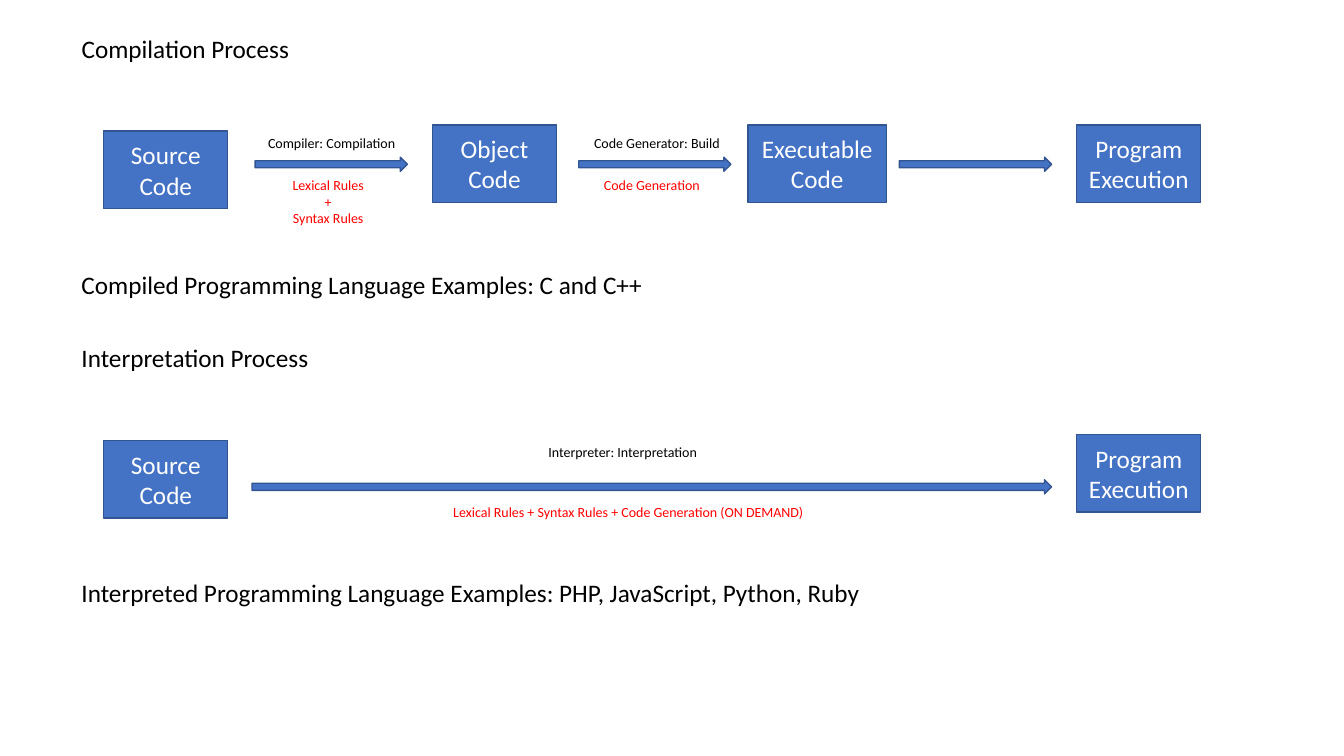
import pptx
import pptx.dml.color
import pptx.enum.shapes
import pptx.enum.text
import pptx.util

Inches = pptx.util.Inches
Align = pptx.enum.text.PP_ALIGN
Anchor = pptx.enum.text.MSO_ANCHOR
Shape = pptx.enum.shapes.MSO_SHAPE

COLORS = {
    "fill": "4472C4",
    "outline": "325491",
    "light": "FFFFFF",
    "dark": "000000",
    "rules": "FF0000",
}


class ProcessSlide:
    font = "Calibri"
    heading_size = 18
    label_size = 10
    box_height = 0.77
    arrow_height = 0.14

    def __init__(self, presentation):
        self.slide = presentation.slides.add_slide(presentation.slide_layouts[5])

    def color(self, name):
        return pptx.dml.color.RGBColor.from_string(COLORS[name])

    def set_text(self, shape, text, size, color, alignment, anchor):
        text_frame = shape.text_frame
        text_frame.text = text
        text_frame.word_wrap = True
        text_frame.auto_size = pptx.enum.text.MSO_AUTO_SIZE.NONE
        text_frame.vertical_anchor = anchor
        for paragraph in text_frame.paragraphs:
            paragraph.alignment = alignment
            for run in paragraph.runs:
                run.font.name = self.font
                run.font.size = pptx.util.Pt(size)
                run.font.color.rgb = self.color(color)

    def solid(self, kind, left, top, width, height):
        shape = self.slide.shapes.add_shape(
            kind, Inches(left), Inches(top), Inches(width), Inches(height))
        shape.shadow.inherit = False
        shape.fill.solid()
        shape.fill.fore_color.rgb = self.color("fill")
        shape.line.color.rgb = self.color("outline")
        shape.line.width = pptx.util.Pt(1)
        return shape

    def box(self, text, left, top, width=1.23):
        shape = self.solid(Shape.RECTANGLE, left, top, width, self.box_height)
        self.set_text(shape, text, self.heading_size, "light", Align.CENTER, Anchor.MIDDLE)

    def arrow(self, left, top, width=1.51):
        self.solid(Shape.RIGHT_ARROW, left, top, width, self.arrow_height)

    def title(self, text, left, top, width, height):
        shape = self.slide.shapes.title
        shape.left, shape.top = Inches(left), Inches(top)
        shape.width, shape.height = Inches(width), Inches(height)
        self.set_text(shape, text, self.heading_size, "dark", Align.LEFT, Anchor.TOP)

    def text(self, text, left, top, width, height, size, color, alignment):
        shape = self.slide.shapes.add_textbox(
            Inches(left), Inches(top), Inches(width), Inches(height))
        self.set_text(shape, text, size, color, alignment, Anchor.TOP)

    def heading(self, text, top, width=6.51):
        self.text(text, 0.71, top, width, 0.4, self.heading_size, "dark", Align.LEFT)

    def label(self, text, left, top, width=1.51, height=0.27,
              color="dark", alignment=Align.CENTER):
        self.text(text, left, top, width, height, self.label_size, color, alignment)


def main():
    presentation = pptx.Presentation()
    presentation.slide_width = Inches(13.33)
    presentation.slide_height = Inches(7.5)
    page = ProcessSlide(presentation)

    page.title("Compilation Process", 0.71, 0.28, 6.51, 0.4)
    page.heading("Compiled Programming Language Examples: C and C++", 2.62)
    page.heading("Interpretation Process", 3.35)
    page.heading(
        "Interpreted Programming Language Examples: PHP, JavaScript, Python, Ruby",
        5.68, 8.49)

    for row_top in (1.24, 4.31):
        page.box("Source Code", 1.03, row_top + 0.06)
        page.box("Program Execution", 10.68, row_top)
    page.box("Object Code", 4.29, 1.24)
    page.box("Executable Code", 7.42, 1.24, 1.37)

    for left in (2.53, 5.74, 8.92):
        page.arrow(left, 1.56)
    page.arrow(2.5, 4.76, 7.93)

    page.label("Compiler: Compilation", 2.56, 1.29, alignment=Align.LEFT)
    page.label("Lexical Rules\n+\nSyntax Rules", 2.5, 1.7, height=0.61, color="rules")
    page.label("Code Generator: Build", 5.76, 1.29)
    page.label("Code Generation", 5.71, 1.7, color="rules")
    page.label("Interpreter: Interpretation", 5.34, 4.35, 1.78, alignment=Align.LEFT)
    page.label("Lexical Rules + Syntax Rules + Code Generation (ON DEMAND)",
               3.74, 4.95, 4.98, color="rules")

    presentation.save("out.pptx")


if __name__ == "__main__":
    main()
